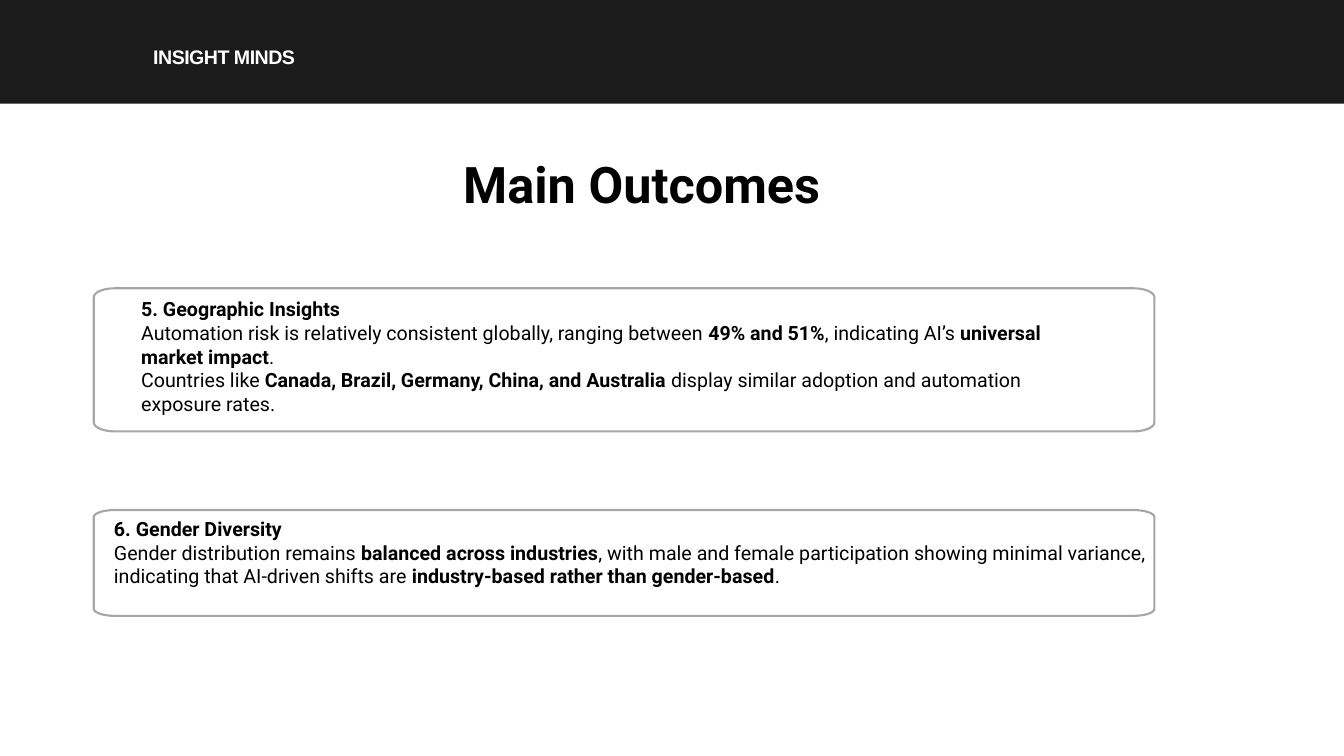
import math

from pptx import Presentation
from pptx import util as u
from pptx.dml import color
from pptx.enum import shapes, text

COLORS = {"band": "1B1B1B", "edge": "A6A6A6", "paper": "FFFFFF", "ink": "000000"}
BODY = {"name": "Roboto", "size": u.Pt(14)}
TITLE = {"name": "Roboto", "size": u.Pt(36)}
BRAND = {"name": "Arial", "size": u.Pt(14)}

# Each card: top, height, corner height, text box, paragraphs with **bold** parts
CARDS = [
    (2.86, 1.42, 0.09, (1.4, 2.95, 9.37, 1.18), [
        "**5. Geographic Insights**",
        "Automation risk is relatively consistent globally, ranging between "
        "**49% and 51%**, indicating AI’s **universal market impact**.",
        "Countries like **Canada, Brazil, Germany, China, and Australia** display "
        "similar adoption and automation exposure rates.",
    ]),
    (5.06, 1.05, 0.07, (1.13, 5.13, 10.32, 0.71), [
        "**6. Gender Diversity**",
        "Gender distribution remains **balanced across industries**, with male and "
        "female participation showing minimal variance, indicating that AI-driven "
        "shifts are **industry-based rather than gender-based**.",
    ]),
]
CARD_LEFT, CARD_WIDTH, CORNER = 0.93, 10.52, 0.21


def rgb(name):
    return color.RGBColor.from_string(COLORS[name])


def paint(shape, fill, edge=None):
    shape.shadow.inherit = False
    shape.fill.solid()
    shape.fill.fore_color.rgb = rgb(fill)
    if edge:
        shape.line.color.rgb = rgb(edge)
        shape.line.width = u.Pt(1.5)
    else:
        shape.line.fill.background()


def add_band(slide, width, height):
    band = slide.shapes.add_shape(
        shapes.MSO_SHAPE.RECTANGLE, 0, 0, width, u.Inches(height))
    paint(band, "band")


def add_text(slide, box, lines, style, ink="ink", inset=(0, 0), **layout):
    """Add a text box; parts between ** marks are bold."""
    frame = slide.shapes.add_textbox(*map(u.Inches, box)).text_frame
    side, edge = map(u.Inches, inset)
    form = {"word_wrap": True, "auto_size": text.MSO_AUTO_SIZE.SHAPE_TO_FIT_TEXT,
            "margin_left": side, "margin_right": side,
            "margin_top": edge, "margin_bottom": edge}
    for key, value in form.items():
        setattr(frame, key, value)
    for row, line in enumerate(lines):
        para = frame.add_paragraph() if row else frame.paragraphs[0]
        for key, value in layout.items():
            setattr(para, key, value)
        for part, words in enumerate(line.split("**")):
            if words:
                run = para.add_run()
                run.text = words
                for key, value in {**style, "bold": part % 2 == 1}.items():
                    setattr(run.font, key, value)
                run.font.color.rgb = rgb(ink)
    return frame


def add_panel(slide, top, height, rise, steps=8):
    """Draw a panel whose corners are quarter ellipses."""
    right, base = CARD_LEFT + CARD_WIDTH - CORNER, top + height - rise
    left, head = CARD_LEFT + CORNER, top + rise
    centers = [(right, base), (left, base), (left, head), (right, head)]
    points = []
    for turn, (x, y) in enumerate(centers):
        for step in range(steps + 1):
            angle = (turn + step / steps) * math.pi / 2
            points.append((u.Inches(x + CORNER * math.cos(angle)),
                           u.Inches(y + rise * math.sin(angle))))
    path = slide.shapes.build_freeform(*points[0])
    path.add_line_segments(points[1:], close=True)
    paint(path.convert_to_shape(), "paper", "edge")


def main():
    deck = Presentation()
    deck.slide_width, deck.slide_height = u.Inches(13.33), u.Inches(7.5)
    slide = deck.slides.add_slide(deck.slide_layouts[6])

    add_band(slide, deck.slide_width, 1.03)
    brand = add_text(slide, (1.52, 0.41, 1.77, 0.26), ["**INSIGHT MINDS**"],
                     BRAND, "paper", line_spacing=u.Pt(19.6))
    brand.paragraphs[0].runs[0].font._element.set("spc", "-40")
    add_text(slide, (3.92, 1.47, 4.89, 0.71), ["**Main Outcomes**"], TITLE,
             inset=(0.1, 0.05), alignment=text.PP_ALIGN.CENTER)
    for top, height, rise, box, lines in CARDS:
        add_panel(slide, top, height, rise)
        add_text(slide, box, lines, BODY)

    deck.save("out.pptx")


if __name__ == "__main__":
    main()
